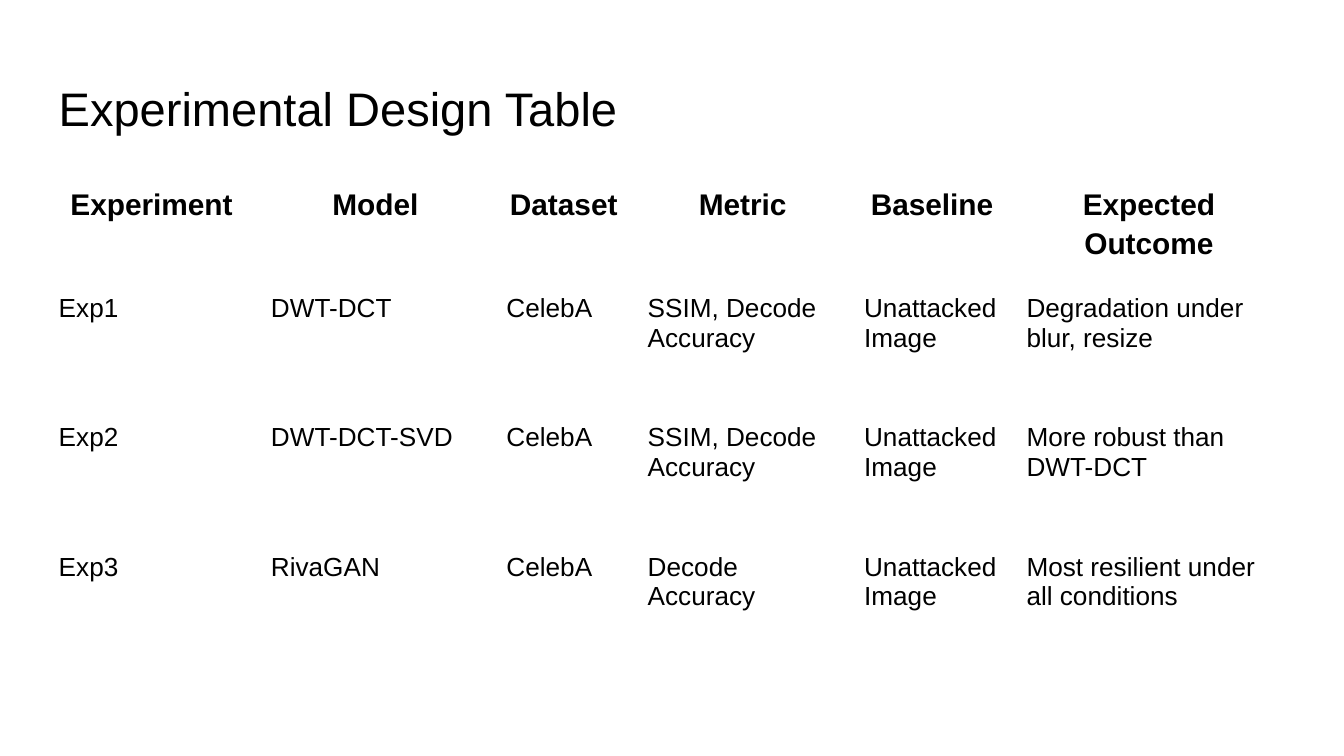
from pptx import Presentation
from pptx.dml.color import RGBColor
from pptx.enum.text import MSO_ANCHOR as Anchor, PP_ALIGN as Align
from pptx.util import Cm, Pt

COLORS = {"text": "000000", "background": "FFFFFF"}
INSET = Cm(0.25)

COLUMN_WIDTHS = [4.01, 4.45, 2.67, 4.09, 3.07, 5.13]
ROW_HEIGHTS = [2.08, 2.44, 2.44, 2.44]
EXPERIMENTS = [
    ["Experiment", "Model", "Dataset", "Metric", "Baseline", "Expected Outcome"],
    ["Exp1", "DWT-DCT", "CelebA", "SSIM, Decode Accuracy", "Unattacked Image",
     "Degradation under blur, resize"],
    ["Exp2", "DWT-DCT-SVD", "CelebA", "SSIM, Decode Accuracy", "Unattacked Image",
     "More robust than DWT-DCT"],
    ["Exp3", "RivaGAN", "CelebA", "Decode Accuracy", "Unattacked Image",
     "Most resilient under all conditions"],
]


def write(frame, text, size=14, bold=False, align=Align.LEFT, spacing=1.0):
    paragraph = frame.paragraphs[0]
    paragraph.alignment = align
    paragraph.line_spacing = spacing
    run = paragraph.add_run()
    run.text = text
    run.font.name = "Arial"
    run.font.size = Pt(size)
    run.font.bold = bold
    run.font.color.rgb = RGBColor.from_string(COLORS["text"])


def set_insets(target):
    target.margin_left = target.margin_right = INSET
    target.margin_top = target.margin_bottom = INSET


def place_heading(slide, left, top, width, height):
    heading = slide.shapes.title
    heading.left, heading.top = Cm(left), Cm(top)
    heading.width, heading.height = Cm(width), Cm(height)
    frame = heading.text_frame
    frame.word_wrap = True
    frame.vertical_anchor = Anchor.MIDDLE
    set_insets(frame)
    write(frame, "Experimental Design Table", size=25.2)


def place_experiments(slide, left, top, width, height):
    experiments = slide.shapes.add_table(
        len(ROW_HEIGHTS), len(COLUMN_WIDTHS),
        Cm(left), Cm(top), Cm(width), Cm(height)).table
    experiments.first_row = experiments.horz_banding = False

    # Share the box out in proportion to the listed sizes
    for column, share in zip(experiments.columns, COLUMN_WIDTHS):
        column.width = Cm(width * share / sum(COLUMN_WIDTHS))
    for row, share in zip(experiments.rows, ROW_HEIGHTS):
        row.height = Cm(height * share / sum(ROW_HEIGHTS))

    # Centred bold header above plain rows
    header_format = dict(size=16, bold=True, align=Align.CENTER, spacing=1.15)
    for r, entries in enumerate(EXPERIMENTS):
        for c, entry in enumerate(entries):
            cell = experiments.cell(r, c)
            cell.fill.background()
            cell.vertical_anchor = Anchor.TOP
            set_insets(cell)
            write(cell.text_frame, entry, **(header_format if r == 0 else {}))


def main():
    deck = Presentation()
    deck.slide_width, deck.slide_height = Cm(25.4), Cm(14.29)
    slide = deck.slides.add_slide(deck.slide_layouts[5])
    backdrop = slide.background.fill
    backdrop.solid()
    backdrop.fore_color.rgb = RGBColor.from_string(COLORS["background"])

    place_heading(slide, 0.86, 1.24, 23.67, 1.6)
    place_experiments(slide, 0.86, 3.23, sum(COLUMN_WIDTHS), sum(ROW_HEIGHTS))
    deck.save("out.pptx")


if __name__ == "__main__":
    main()
